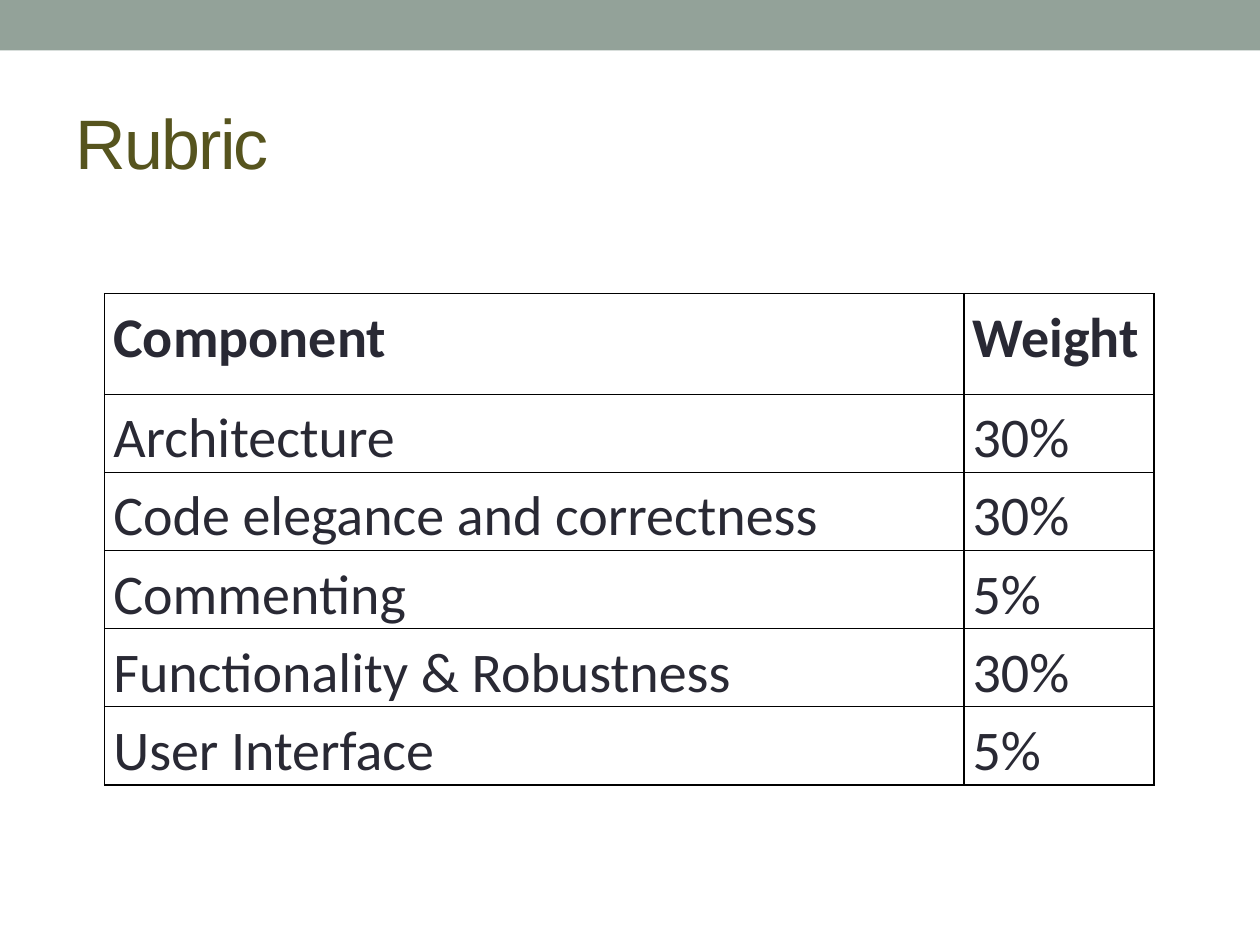
"""Build the rubric slide with its weighting table."""
from lxml import etree
from pptx import Presentation
from pptx import util as u
from pptx.dml.color import RGBColor
from pptx.enum import shapes, text
from pptx.oxml import ns


def style(font, color, **values):
    font.color.rgb = RGBColor.from_string(color)
    for name, value in values.items():
        setattr(font, name, value)


def add_borders(cell, color, width):
    properties = cell._tc.get_or_add_tcPr()
    for position, side in enumerate(("lnL", "lnR", "lnT", "lnB")):
        line = etree.Element(ns.qn(f"a:{side}"), w=str(u.Pt(width)))
        fill = etree.SubElement(line, ns.qn("a:solidFill"))
        etree.SubElement(fill, ns.qn("a:srgbClr"), val=color)
        properties.insert(position, line)


deck = Presentation()
deck.slide_width, deck.slide_height = u.Inches(10), u.Inches(7.5)
slide = deck.slides.add_slide(deck.slide_layouts[6])

band = slide.shapes.add_shape(
    shapes.MSO_SHAPE.RECTANGLE, 0, 0, deck.slide_width, u.Inches(0.4))
band.shadow.inherit = False
band.fill.solid()
band.fill.fore_color.rgb = RGBColor.from_string("93A299")
band.line.fill.background()

heading = slide.shapes.add_textbox(
    u.Inches(0.5), u.Inches(0.58), u.Inches(9), u.Inches(1.08)).text_frame
heading.word_wrap = True
heading.vertical_anchor = text.MSO_ANCHOR.MIDDLE
rubric = heading.paragraphs[0].add_run()
rubric.text = "Rubric"
style(rubric.font, "56541E", name="Arial", size=u.Pt(40))
rubric.font._element.set("spc", "-100")

criteria = [
    ("Component", "Weight"),
    ("Architecture", "30%"),
    ("Code elegance and correctness", "30%"),
    ("Commenting", "5%"),
    ("Functionality & Robustness", "30%"),
    ("User Interface", "5%"),
]
column_widths = (6.82, 1.51)
row_heights = [0.8] + [0.62] * (len(criteria) - 1)
cell_format = {
    "margin_left": u.Inches(0.07),
    "margin_right": u.Inches(0.07),
    "margin_top": 0,
    "margin_bottom": 0,
}

weights = slide.shapes.add_table(
    len(criteria), len(column_widths), u.Inches(0.83), u.Inches(2.33),
    u.Inches(sum(column_widths)), u.Inches(sum(row_heights))).table
weights.horz_banding = False
for column, width in zip(weights.columns, column_widths):
    column.width = u.Inches(width)

for r, (entries, height) in enumerate(zip(criteria, row_heights)):
    weights.rows[r].height = u.Inches(height)
    for c, entry in enumerate(entries):
        cell = weights.cell(r, c)
        for name, value in cell_format.items():
            setattr(cell, name, value)
        cell.fill.background()
        add_borders(cell, "000000", 1)
        paragraph = cell.text_frame.paragraphs[0]
        paragraph.line_spacing = 1.15
        run = paragraph.add_run()
        run.text = entry
        style(run.font, "292934", name="Calibri", size=u.Pt(32), bold=r == 0)

deck.save("out.pptx")
